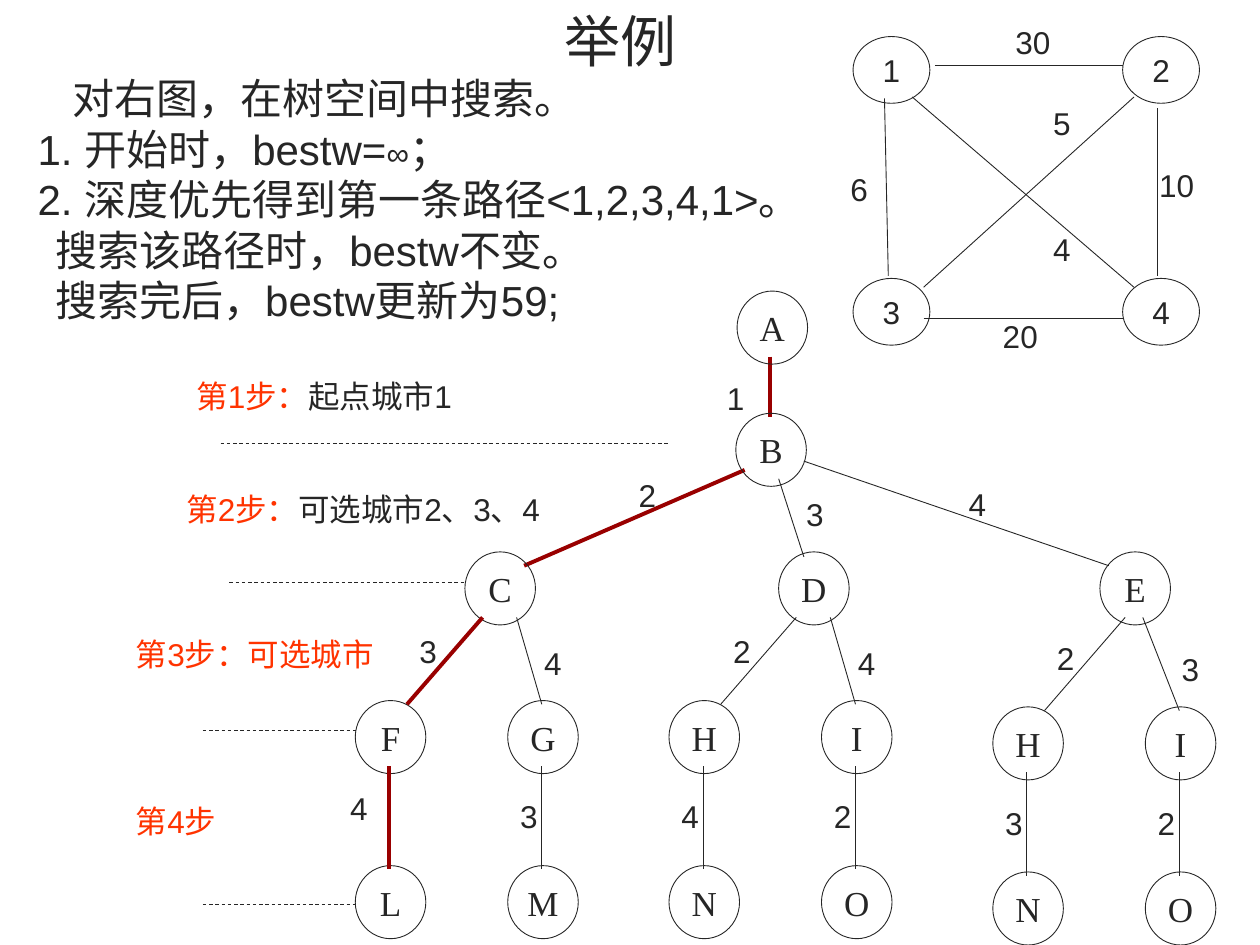
"""Builds the slide on searching a solution tree for the travelling salesman problem."""
from lxml import etree
from pptx import Presentation
from pptx.dml.color import RGBColor
from pptx.enum.dml import MSO_LINE
from pptx.enum.shapes import MSO_CONNECTOR, MSO_SHAPE
from pptx.enum.text import MSO_ANCHOR, MSO_AUTO_SIZE, PP_ALIGN
from pptx.oxml.ns import qn
from pptx.util import Inches, Pt

OVAL = MSO_SHAPE.OVAL
STRAIGHT = MSO_CONNECTOR.STRAIGHT
DASH = MSO_LINE.DASH
TOP, MIDDLE = MSO_ANCHOR.TOP, MSO_ANCHOR.MIDDLE
LEFT, CENTER = PP_ALIGN.LEFT, PP_ALIGN.CENTER
NO_FIT = MSO_AUTO_SIZE.NONE
INK, RED, PATH_RED = "262626", "FF3300", "990000"
SANS, SERIF = "Arial", "Times New Roman"
CITY, NODE, DIGIT = (6.1, 5.3), (5.6, 5.8), (3.4, 4)

BODY = [
    (2.8, [("对右图，在树空间中搜索。", 24)]),
    (0, [("1. 开始时，bestw=", 24), ("∞", 18), ("；", 24)]),
    (0, [("2. 深度优先得到第一条路径<1,2,3,4,1>。", 24)]),
    (1.4, [("搜索该路径时，bestw不变。", 24)]),
    (1.4, [("搜索完后，bestw更新为59;", 24)]),
]
CITIES = [("1", 67.7, 2.9), ("2", 89.1, 2.9), ("3", 67.7, 22.1), ("4", 89.1, 22.1)]
ROADS = [
    (74.2, 5.2, 89.1, 5.2), (70.2, 7.8, 70.5, 21.9), (73.3, 25.3, 89.1, 25.3),
    (91.9, 8.6, 91.9, 21.9), (73.3, 22.8, 90, 7.7), (72.4, 7.7, 90, 22.8),
]
DISTANCES = [
    ("30", 79.6, 1.3), ("6", 66.5, 13), ("10", 91, 12.7),
    ("20", 78.6, 24.7), ("5", 82.6, 7.8), ("4", 82.6, 17.8),
]
TOP_NODES = [("A", 58.5, 23.1), ("B", 58.4, 32.8)]
TOP_EDGES = [
    (61.1, 28.3, 61.1, 33.1, True), (59.1, 37.3, 41.6, 44.9, True),
    (61.8, 38, 63.8, 44.2, False), (63.8, 36.6, 88, 44.9, False),
]
TOP_CHOICES = [("1", 56.7, 29.6), ("2", 49.7, 37.3), ("3", 63, 38.8), ("4", 75.9, 38)]
FAMILIES = [
    ("C", 36.9, 0, 0, (1.4, 4.1), ("FL34", "GM43"), True),
    ("D", 61.8, 0, 0, (1.4, 4.1), ("HN24", "IO42"), False),
    ("E", 87.3, 0.2, 0.5, (2, 3.4), ("HN23", "IO32"), False),
]
GUIDES = [(17.5, 53.1, 35.2), (18.2, 37, 46.2), (16.1, 28.3, 58), (16.1, 28.2, 71.8)]
STEPS = [
    (14.6, 29.4, 22.3, [("第1步：", RED), ("起点城市1", INK)]),
    (13.8, 38.4, 30.1, [("第2步：", RED), ("可选城市2、3、4", INK)]),
    (9.8, 49.9, 20.9, [("第3步：可选城市", RED)]),
    (9.8, 63.2, 8.4, [("第4步", RED)]),
]


def rgb(value):
    """Turn a hex string into a colour."""
    return RGBColor.from_string(value)


def write(para, text, size=18, color=INK, face=SANS):
    """Add one formatted span to a paragraph."""
    span = para.add_run()
    span.text = text
    span.font.size = Pt(size)
    span.font.name = face
    span.font.color.rgb = rgb(color)


class Sketch:
    """Holds the style and the current page, on a grid of 100 columns by 75 rows."""

    def __init__(self, deck):
        """Add a title-only page."""
        self.column = deck.slide_width / 100
        self.row = deck.slide_height / 75
        self.page = deck.slides.add_slide(deck.slide_layouts[5])

    def place(self, left, top, width, height):
        """Convert grid lengths to slide lengths."""
        return (round(left * self.column), round(top * self.row),
                round(width * self.column), round(height * self.row))

    def title(self, text, *area):
        """Move and format the title placeholder."""
        box = self.page.shapes.title
        box.left, box.top, box.width, box.height = self.place(*area)
        frame = box.text_frame
        frame.auto_size = NO_FIT
        frame.vertical_anchor = TOP
        frame.paragraphs[0].alignment = CENTER
        write(frame.paragraphs[0], text, size=32)

    def text(self, left, top, width, height, wrap=False):
        """Add an empty text box and return its frame."""
        box = self.page.shapes.add_textbox(*self.place(left, top, width, height))
        box.text_frame.word_wrap = wrap
        return box.text_frame

    def body(self, lines, *area):
        """Add the explanation with its indented lines."""
        frame = self.text(*area, wrap=True)
        for index, (indent, spans) in enumerate(lines):
            para = frame.add_paragraph() if index else frame.paragraphs[0]
            para.alignment = LEFT
            if indent:
                para._p.get_or_add_pPr().set("marL", str(round(indent * self.column)))
            for text, size in spans:
                write(para, text, size=size)

    def number(self, text, left, top):
        """Label an edge with its number."""
        width = DIGIT[0] + 1.4 * (len(text) - 1)
        write(self.text(left, top, width, DIGIT[1]).paragraphs[0], text)

    def step(self, left, top, width, spans):
        """Name a search step in coloured spans."""
        frame = self.text(left, top, width, DIGIT[1], wrap=True)
        for text, color in spans:
            write(frame.paragraphs[0], text, color=color)

    def circle(self, text, left, top, extent=NODE, **style):
        """Draw an outlined circle around a centred name."""
        shape = self.page.shapes.add_shape(OVAL, *self.place(left, top, *extent))
        shape.shadow.inherit = False
        shape.fill.background()
        shape.line.color.rgb = rgb(INK)
        shape.line.width = Pt(0.5)
        frame = shape.text_frame
        frame.word_wrap = False
        frame.vertical_anchor = MIDDLE
        frame.margin_left = frame.margin_right = 0
        frame.margin_top = frame.margin_bottom = 0
        frame.paragraphs[0].alignment = CENTER
        write(frame.paragraphs[0], text, **style)

    def edge(self, left, top, right, bottom, chosen=False, dashed=False):
        """Draw a line, heavy and red when it lies on the chosen path."""
        line = self.page.shapes.add_connector(
            STRAIGHT, *self.place(left, top, right, bottom))
        line.line.color.rgb = rgb(PATH_RED if chosen else INK)
        line.line.width = Pt(2.25 if chosen else 0.5)
        if dashed:
            line.line.dash_style = DASH
        etree.SubElement(line._element.spPr, qn("a:effectLst"))

    def node(self, name, left, top):
        """Draw a tree node."""
        self.circle(name, left, top, size=20, face=SERIF)

    def family(self, name, left, shift, drop, starts, branches, chosen):
        """Draw a third-level node with two branches of a child and a leaf."""
        self.node(name, left, 43.8)
        child_top, leaf_top = 55.6 + drop, 68.7 + drop
        for side, (child, leaf, choice, last) in enumerate(branches):
            hot = chosen and side == 0
            start = left + shift + (-8.7, 3.4)[side]
            self.node(child, start, child_top)
            self.node(leaf, start, leaf_top)
            self.edge(left + starts[side], 49, start + (4.1, 2.7)[side],
                      child_top + 0.3, hot)
            self.edge(start + 2.7, child_top + 5.2, start + 2.7, leaf_top + 0.3, hot)
            self.number(choice, start + (4.1, 1.9)[side], (49.7, 50.6)[side] + drop)
            self.number(last, start - 1.4 * hot, 62.8 + drop - 0.7 * hot)


def main():
    """Build and save the deck."""
    deck = Presentation()
    deck.slide_width, deck.slide_height = Inches(10), Inches(7.5)
    sketch = Sketch(deck)
    sketch.title("举例", 2, 0, 94.5, 6)
    sketch.body(BODY, 2, 5.3, 94.5, 21)
    for name, left, top in CITIES:
        sketch.circle(name, left, top, extent=CITY)
    for road in ROADS + TOP_EDGES:
        sketch.edge(*road)
    for label in DISTANCES + TOP_CHOICES:
        sketch.number(*label)
    for node in TOP_NODES:
        sketch.node(*node)
    for family in FAMILIES:
        sketch.family(*family)
    for left, right, top in GUIDES:
        sketch.edge(left, top, right, top, dashed=True)
    for step in STEPS:
        sketch.step(*step)
    deck.save("out.pptx")


if __name__ == "__main__":
    main()
